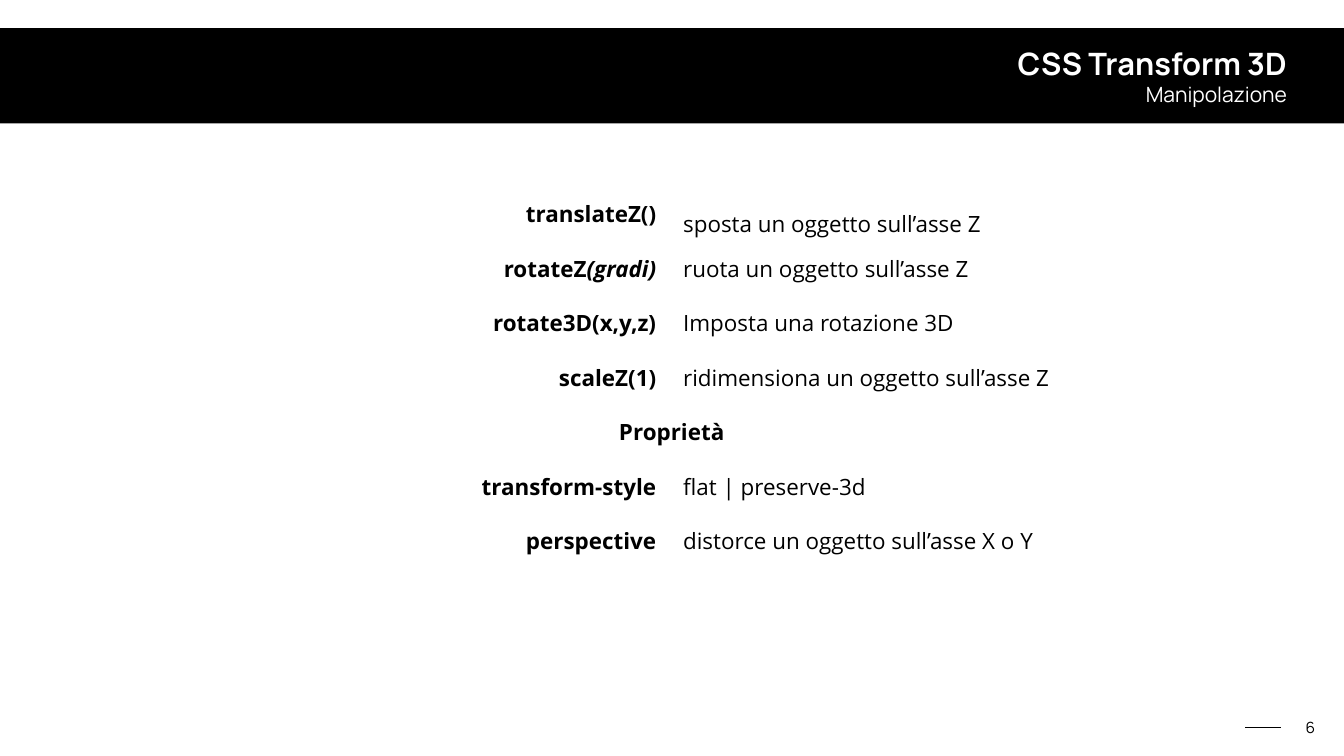
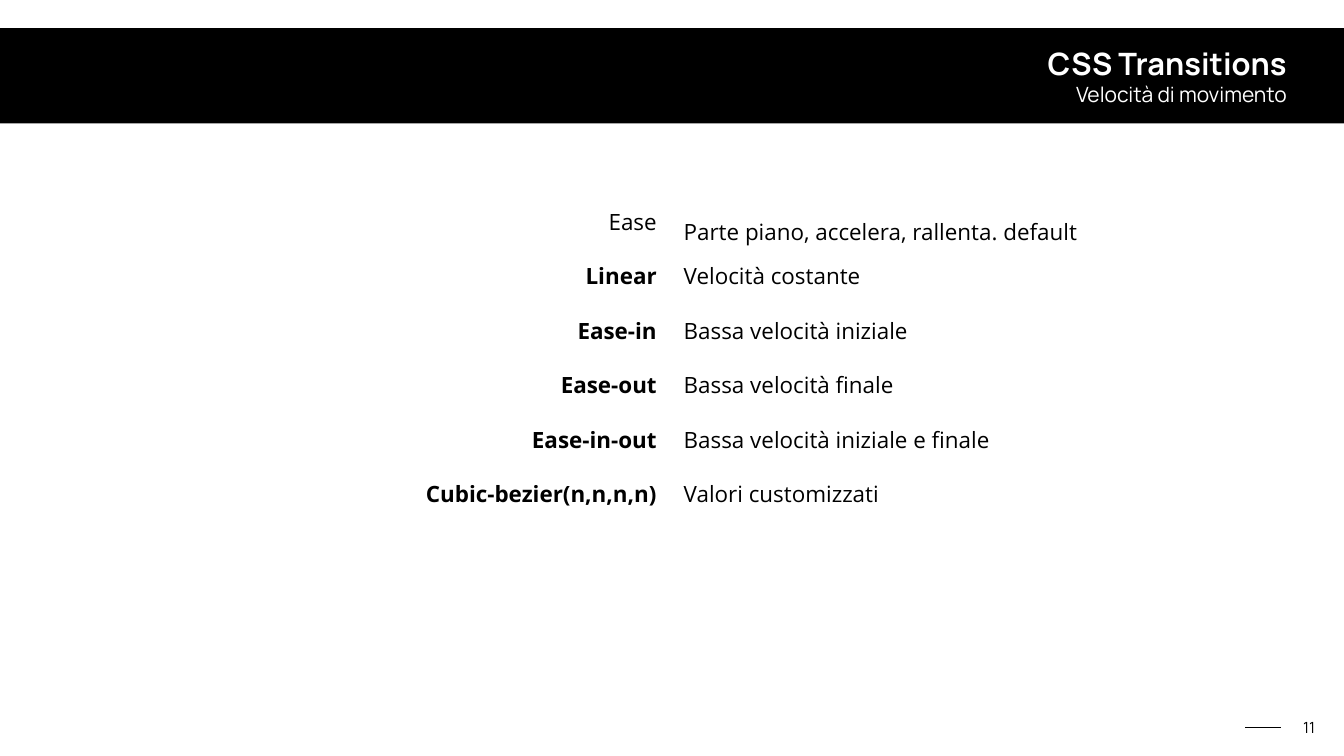
from lxml import etree
from pptx import Presentation, util as u
from pptx.dml.color import RGBColor
from pptx.enum import shapes, text
from pptx.oxml.ns import qn

LEFT, MID, RIGHT = text.PP_ALIGN.LEFT, text.PP_ALIGN.CENTER, text.PP_ALIGN.RIGHT
HEAD, BODY = "Manrope", "Open Sans"
BLACK, WHITE = "000000", "FFFFFF"


def hue(code):
    return RGBColor.from_string(code)


def write(para, words, size=32, font=BODY, color=BLACK, bold=False,
          slant=False, align=LEFT, space=None):
    para.alignment = align
    if space:
        para.line_spacing = space
    run = para.add_run()
    run.text = words
    face = run.font
    face.name, face.size = font, u.Pt(size)
    face.bold, face.italic = bold, slant
    face.color.rgb = hue(color)


class Deck:
    def __init__(self, wide, high):
        self.file = Presentation()
        self.file.slide_width = u.Inches(wide)
        self.file.slide_height = u.Inches(high)
        self.page = None

    def col(self, share):
        return u.Emu(round(self.file.slide_width * share / 100))

    def row(self, share):
        return u.Emu(round(self.file.slide_height * share / 100))

    def box(self, x, y, w, h):
        return self.col(x), self.row(y), self.col(w), self.row(h)

    def pad(self, frame, x, y):
        frame.margin_left = frame.margin_right = self.col(x)
        frame.margin_top = frame.margin_bottom = self.row(y)

    def fit(self, frame, anchor):
        self.pad(frame, 0.23, 0.4)
        frame.word_wrap = True
        frame.auto_size = text.MSO_AUTO_SIZE.SHAPE_TO_FIT_TEXT
        frame.vertical_anchor = anchor

    def start(self, title, topic, number):
        self.page = self.file.slides.add_slide(self.file.slide_layouts[5])
        self.band()
        self.rule()
        self.number(number)
        self.title(title, topic)

    def band(self):
        band = self.page.shapes.add_shape(
            shapes.MSO_SHAPE.RECTANGLE, *self.box(-0.8, 3.73, 101.6, 12.6))
        band.shadow.inherit = False
        band.fill.solid()
        band.fill.fore_color.rgb = hue(BLACK)
        band.line.fill.background()

    def rule(self):
        y = self.row(96.27)
        rule = self.page.shapes.add_connector(
            shapes.MSO_CONNECTOR.STRAIGHT, self.col(95.31), y, self.col(92.65), y)
        rule.line.color.rgb = hue(BLACK)
        rule.line.width = u.Pt(2)
        etree.SubElement(rule._element.spPr, qn("a:effectLst"))

    def number(self, number):
        frame = self.page.shapes.add_textbox(
            *self.box(96.21, 94.67, 1.87, 3.2)).text_frame
        self.fit(frame, text.MSO_ANCHOR.BOTTOM)
        write(frame.paragraphs[0], str(number), size=22, font=HEAD, align=RIGHT)

    def title(self, title, topic):
        head = self.page.shapes.title
        self.page.shapes._spTree.append(head._element)
        head.left, head.top, head.width, head.height = self.box(3.79, 5.47, 92.2, 9.07)
        frame = head.text_frame
        self.fit(frame, text.MSO_ANCHOR.MIDDLE)
        look = dict(font=HEAD, color=WHITE, align=RIGHT)
        write(frame.paragraphs[0], title, size=44, bold=True, **look)
        write(frame.add_paragraph(), topic, size=30, **look)

    def table(self, x, y, widths, rows, high=7.2):
        grid = self.page.shapes.add_table(
            len(rows), 2, *self.box(x, y, sum(widths), high * len(rows))).table
        grid.first_row = grid.horz_banding = False
        for part, width in zip(grid.columns, widths):
            part.width = self.col(width)
        for r, (term, note) in enumerate(rows):
            grid.rows[r].height = self.row(high)
            for cell in grid.rows[r].cells:
                cell.fill.background()
                cell.vertical_anchor = text.MSO_ANCHOR.MIDDLE
                self.pad(cell, 1, 0.87)
            left, right = (grid.cell(r, c) for c in (0, 1))
            if note is None:
                left.merge(right)
            runs = [(term, {"bold": True})] if isinstance(term, str) else term
            for words, look in runs:
                write(left.text_frame.paragraphs[0], words,
                      align=MID if note is None else RIGHT, **look)
            if note:
                write(right.text_frame.paragraphs[0], note,
                      space=None if r else 1.5)


def main():
    deck = Deck(26.67, 15)

    deck.start("CSS Transform 3D", "Manipolazione", 6)
    deck.table(6.45, 24.73, (43.38, 43.68), [
        ("translateZ()", "sposta un oggetto sull’asse Z"),
        ([("rotateZ", {"bold": True}), ("(gradi)", {"bold": True, "slant": True})],
         "ruota un oggetto sull’asse Z"),
        ("rotate3D(x,y,z)", "Imposta una rotazione 3D"),
        ("scaleZ(1)", "ridimensiona un oggetto sull’asse Z"),
        ("Proprietà", None),
        ("transform-style", "flat | preserve-3d"),
        ("perspective", "distorce un oggetto sull’asse X o Y"),
    ])

    deck.start("CSS Transitions", "Velocità di movimento", 11)
    deck.table(13.69, 25.73, (36.18, 36.41), [
        ([("Ease", {})], "Parte piano, accelera, rallenta. default"),
        ("Linear", "Velocità costante"),
        ("Ease-in", "Bassa velocità iniziale"),
        ("Ease-out", "Bassa velocità finale"),
        ("Ease-in-out", "Bassa velocità iniziale e finale"),
        ("Cubic-bezier(n,n,n,n)", "Valori customizzati"),
    ])

    deck.file.save("out.pptx")


if __name__ == "__main__":
    main()
